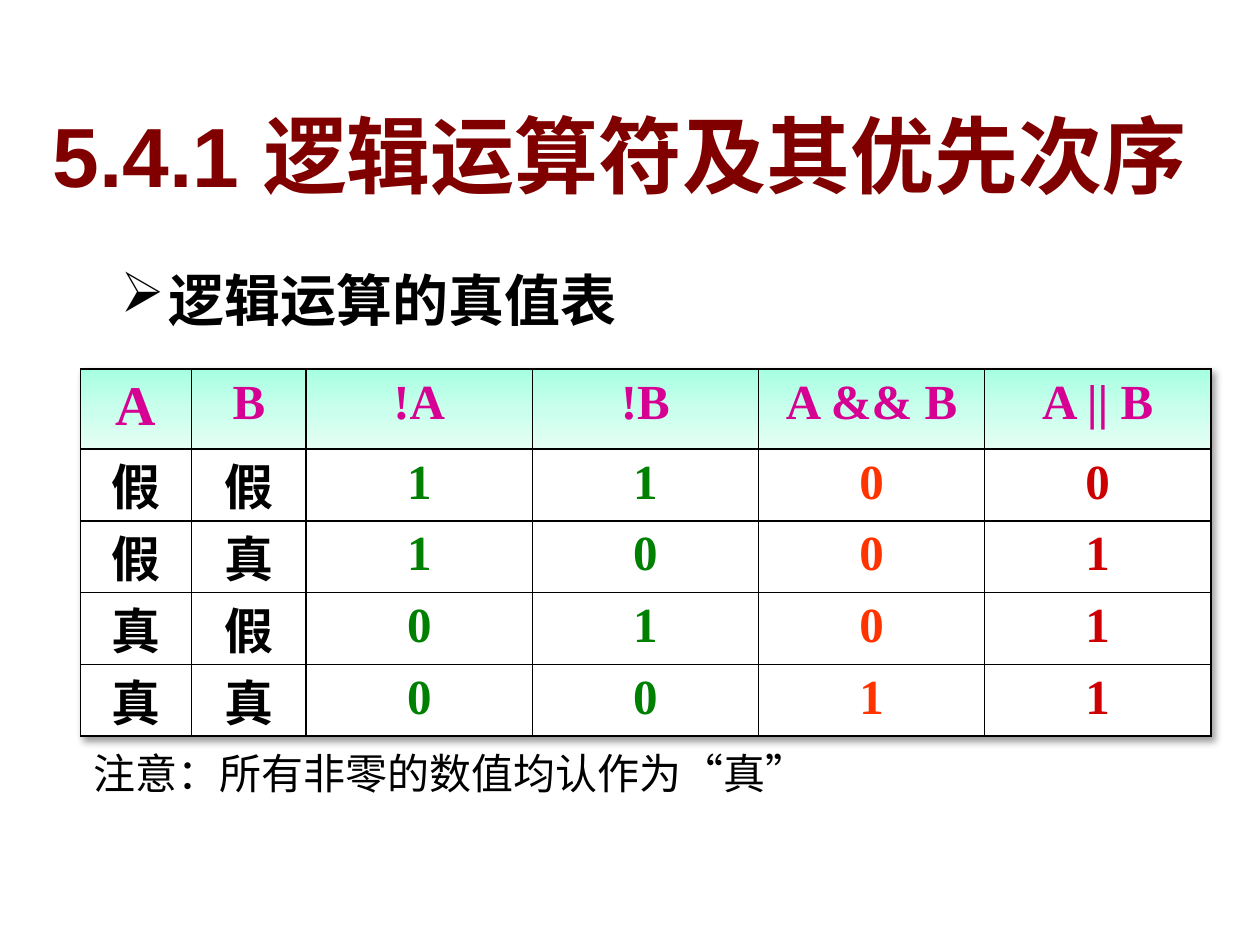
from lxml import etree
from pptx import Presentation
from pptx.dml.color import RGBColor
from pptx.enum.text import MSO_ANCHOR as Anchor, PP_ALIGN as Align
from pptx.oxml import parse_xml
from pptx.oxml.ns import nsdecls, qn
from pptx.util import Inches, Pt

WIDTH, HEIGHT = 10, 7.5
COL_WIDTHS = [0.88, 0.91] + [1.795] * 4
HEAD_HEIGHT, ROW_HEIGHT = 0.63, 0.57
COL_COLORS = ["000000"] * 2 + ["008000"] * 2 + ["FF3300", "CC0000"]
HEAD_COLOR = "D60093"
HEAD_STOPS = {0: "A7FFE2", 50: "C9FFEC", 100: "E5FFF5"}
HEADERS = ["A", "B", "!A", "!B", "A && B", "A || B"]


def rgb(value):
    return RGBColor.from_string(value)


def xml(body):
    """Parse one element written with the a: prefix."""
    tag, rest = body[1:].split(" ", 1)
    return parse_xml(f"<{tag} {nsdecls('a')} {rest}")


def shadow(color, blur, dist, alpha):
    return xml(
        f'<a:effectLst ><a:outerShdw blurRad="{Pt(blur)}" dist="{Pt(dist)}" dir="2700000" '
        f'algn="tl" rotWithShape="0"><a:srgbClr val="{color}"><a:alpha val="{alpha * 1000}"/>'
        '</a:srgbClr></a:outerShdw></a:effectLst>')


def write(p, text, color, **fmt):
    r = p.add_run()
    r.text = text
    for name, value in fmt.items():
        setattr(r.font, name, value)
    r.font.color.rgb = rgb(color)
    return r


def add_text(s, box, text, color, anchor=Anchor.TOP, **fmt):
    """Add a one-paragraph text box; return its paragraph and run."""
    tf = s.shapes.add_textbox(*map(Inches, box)).text_frame
    tf.word_wrap = True
    tf.vertical_anchor = anchor
    p = tf.paragraphs[0]
    return p, write(p, text, color, **fmt)


def add_title(s):
    p, r = add_text(s, (0.23, 0.77, 9.38, 0.91), "5.4.1 逻辑运算符及其优先次序", "800000",
                    Anchor.MIDDLE, size=Pt(48), name="Arial", bold=True)
    p.alignment = Align.CENTER
    r.font.fill._xPr.find(qn("a:solidFill")).addnext(shadow("C0C0C0", 0, 3, 60))


def add_bullet(s):
    p, _ = add_text(s, (0.86, 1.95, 4.77, 0.7), "逻辑运算的真值表", "000000",
                    size=Pt(32), name="Arial", bold=True)
    p.line_spacing = 1.2
    pPr = p._p.get_or_add_pPr()
    pPr.set("marL", str(Inches(0.38)))
    pPr.set("indent", str(Inches(-0.38)))
    etree.SubElement(pPr, qn("a:buChar")).set("char", "➢")


def style_cell(cell, is_head):
    """Give a cell thin black borders and its fill."""
    tcPr = cell._tc.get_or_add_tcPr()
    for side in "LRTB":
        tcPr.append(xml(f'<a:ln{side} w="{Pt(1)}"><a:solidFill><a:srgbClr val="000000"/>'
                        f'</a:solidFill></a:ln{side}>'))
    if is_head:
        stops = "".join(f'<a:gs pos="{pos * 1000}"><a:srgbClr val="{color}"/></a:gs>'
                        for pos, color in HEAD_STOPS.items())
        tcPr.append(xml(f'<a:gradFill rotWithShape="1"><a:gsLst>{stops}</a:gsLst>'
                        '<a:lin ang="5400000" scaled="1"/></a:gradFill>'))
    else:
        cell.fill.solid()
        cell.fill.fore_color.rgb = rgb("FFFFFF")


def truth_rows():
    for a in (0, 1):
        for b in (0, 1):
            words = ["真" if v else "假" for v in (a, b)]
            yield words + [str(v) for v in (1 - a, 1 - b, a & b, a | b)]


def add_truth_table(s):
    rows = [HEADERS, *truth_rows()]
    heights = [HEAD_HEIGHT] + [ROW_HEIGHT] * (len(rows) - 1)
    box = map(Inches, (0.64, 2.93, sum(COL_WIDTHS), sum(heights)))
    table = s.shapes.add_table(len(rows), len(COL_WIDTHS), *box).table
    table.horz_banding = table.first_row = False
    table._tbl.tblPr.insert(0, shadow("000000", 4, 3, 40))
    for col, width in zip(table.columns, COL_WIDTHS):
        col.width = Inches(width)
    for i, (texts, height) in enumerate(zip(rows, heights)):
        table.rows[i].height = Inches(height)
        for j, text in enumerate(texts):
            cell = table.cell(i, j)
            style_cell(cell, i == 0)
            if text in "真假":
                cell.margin_top = cell.margin_bottom = 0
            p = cell.text_frame.paragraphs[0]
            p.alignment = Align.CENTER
            write(p, text, COL_COLORS[j] if i else HEAD_COLOR,
                  size=Pt(32 if text == "A" else 28), name="Times New Roman", bold=True)


def main():
    prs = Presentation()
    prs.slide_width, prs.slide_height = Inches(WIDTH), Inches(HEIGHT)
    s = prs.slides.add_slide(prs.slide_layouts[6])
    add_title(s)
    add_bullet(s)
    add_truth_table(s)
    add_text(s, (0.64, 5.88, 6.72, 0.5), "注意：所有非零的数值均认作为“真”", "000000",
             size=Pt(24), name="DejaVu Sans")
    prs.save("out.pptx")


if __name__ == "__main__":
    main()
